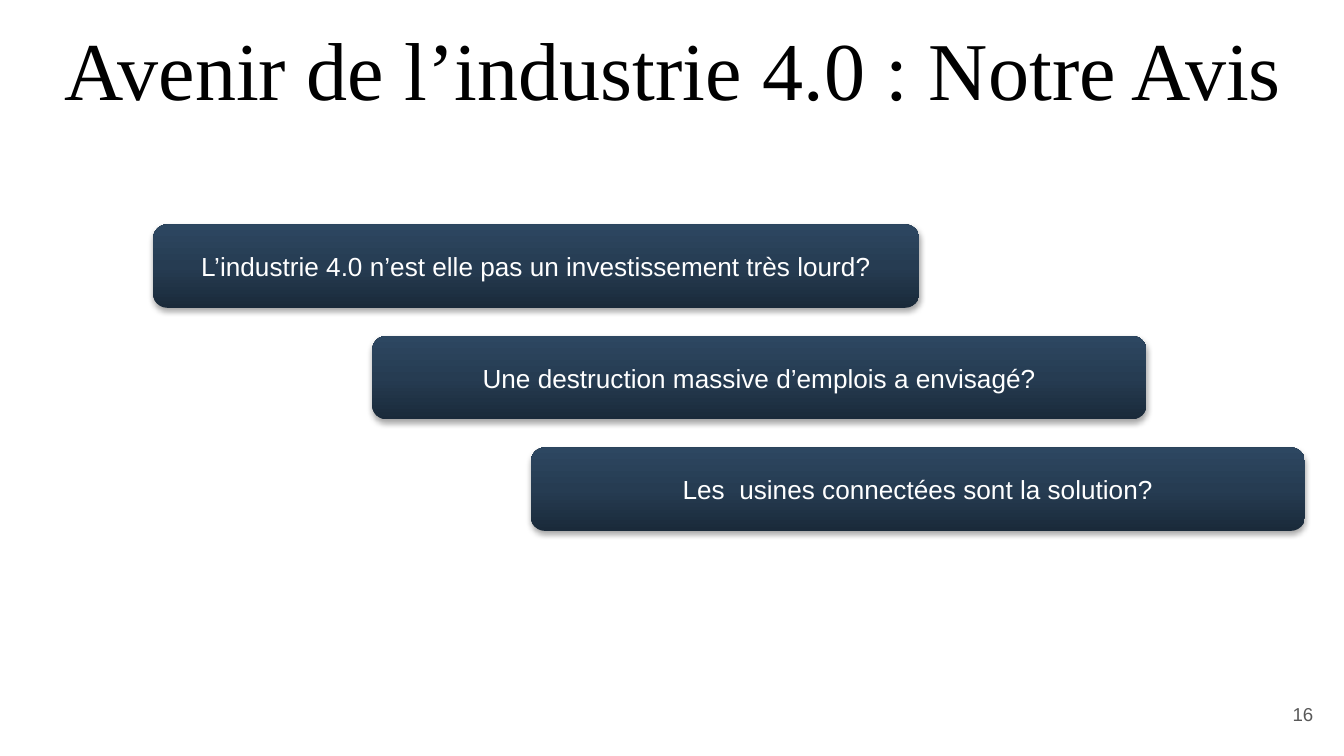
from copy import deepcopy

from lxml.etree import SubElement
from pptx import Presentation
from pptx.dml.color import RGBColor
from pptx.enum.shapes import MSO_SHAPE as Shape
from pptx.enum.text import MSO_ANCHOR as Anchor, MSO_AUTO_SIZE as Fit, PP_ALIGN as Align
from pptx.oxml.ns import qn
from pptx.util import Inches, Pt

WIDTH = 10
HEIGHT = WIDTH * 9 / 16
SHADES = [(0, "1A2A3A"), (0.5, "263C52"), (1, "2D4761")]
BAR_TOP, BAR_STEP, BAR_HIGH = 1.67, 0.83, 0.62
BARS = [
    (1.14, 5.7, "L’industrie 4.0 n’est elle pas un investissement très lourd?"),
    (2.77, 5.76, "Une destruction massive d’emplois a envisagé?"),
    (3.95, 5.76, "Les  usines connectées sont la solution?"),
]


def color(code):
    return RGBColor.from_string(code)


def write(shape, text, size, font, code, align=Align.LEFT):
    frame = shape.text_frame
    frame.word_wrap = True
    para = frame.paragraphs[0]
    para.text = text
    para.alignment = align
    para.font.size = Pt(size)
    para.font.name = font
    para.font.color.rgb = color(code)
    return frame


def add_label(slide, box, *style):
    label = slide.shapes.add_textbox(*map(Inches, box))
    return write(label, *style)


def add_shadow(shape):
    shape.shadow.inherit = False
    effects = shape._element.spPr.find(qn("a:effectLst"))
    outer = SubElement(effects, qn("a:outerShdw"), blurRad=str(Pt(3.1)),
                       dist=str(Pt(1.8)), dir="5400000", rotWithShape="0")
    tint = SubElement(outer, qn("a:srgbClr"), val="000000")
    SubElement(tint, qn("a:alpha"), val="35000")


def add_panel(slide, kind, box):
    panel = slide.shapes.add_shape(kind, *map(Inches, box))
    panel.line.fill.background()
    add_shadow(panel)
    return panel


def shade(fill):
    fill.gradient()
    fill.gradient_angle = 90
    # The default gradient has two stops; add the third
    stops = fill._xPr.find(qn("a:gradFill")).find(qn("a:gsLst"))
    stops.append(deepcopy(stops[-1]))
    for stop, (place, code) in zip(fill.gradient_stops, SHADES):
        stop.position = place
        stop.color.rgb = color(code)


def add_bar(slide, box, text):
    bar = add_panel(slide, Shape.ROUNDED_RECTANGLE, box)
    shade(bar.fill)
    frame = write(bar, text, 14, "Arial", "FFFFFF", Align.CENTER)
    frame.vertical_anchor = Anchor.MIDDLE


def main():
    deck = Presentation()
    deck.slide_width, deck.slide_height = Inches(WIDTH), Inches(HEIGHT)
    slide = deck.slides.add_slide(deck.slide_layouts[6])

    # Backdrop
    back = add_panel(slide, Shape.RECTANGLE, (0, 0, WIDTH, HEIGHT))
    back.fill.solid()
    back.fill.fore_color.rgb = color("FFFFFF")

    # Title
    title = add_label(slide, (0.38, 0.09, 9.68, 0.84),
                      "Avenir de l’industrie 4.0 : Notre Avis",
                      44, "Times New Roman", "000000")
    title.auto_size = Fit.SHAPE_TO_FIT_TEXT

    # Page number
    number = add_label(slide, (9.27, 5.1, 0.6, 0.43),
                       "16", 10, "Arial", "595959", Align.RIGHT)
    number.vertical_anchor = Anchor.MIDDLE
    number.margin_top = number.margin_bottom = Inches(0.1)

    # Staggered questions
    for row, (left, wide, text) in enumerate(BARS):
        add_bar(slide, (left, BAR_TOP + row * BAR_STEP, wide, BAR_HIGH), text)

    deck.save("out.pptx")


if __name__ == "__main__":
    main()
